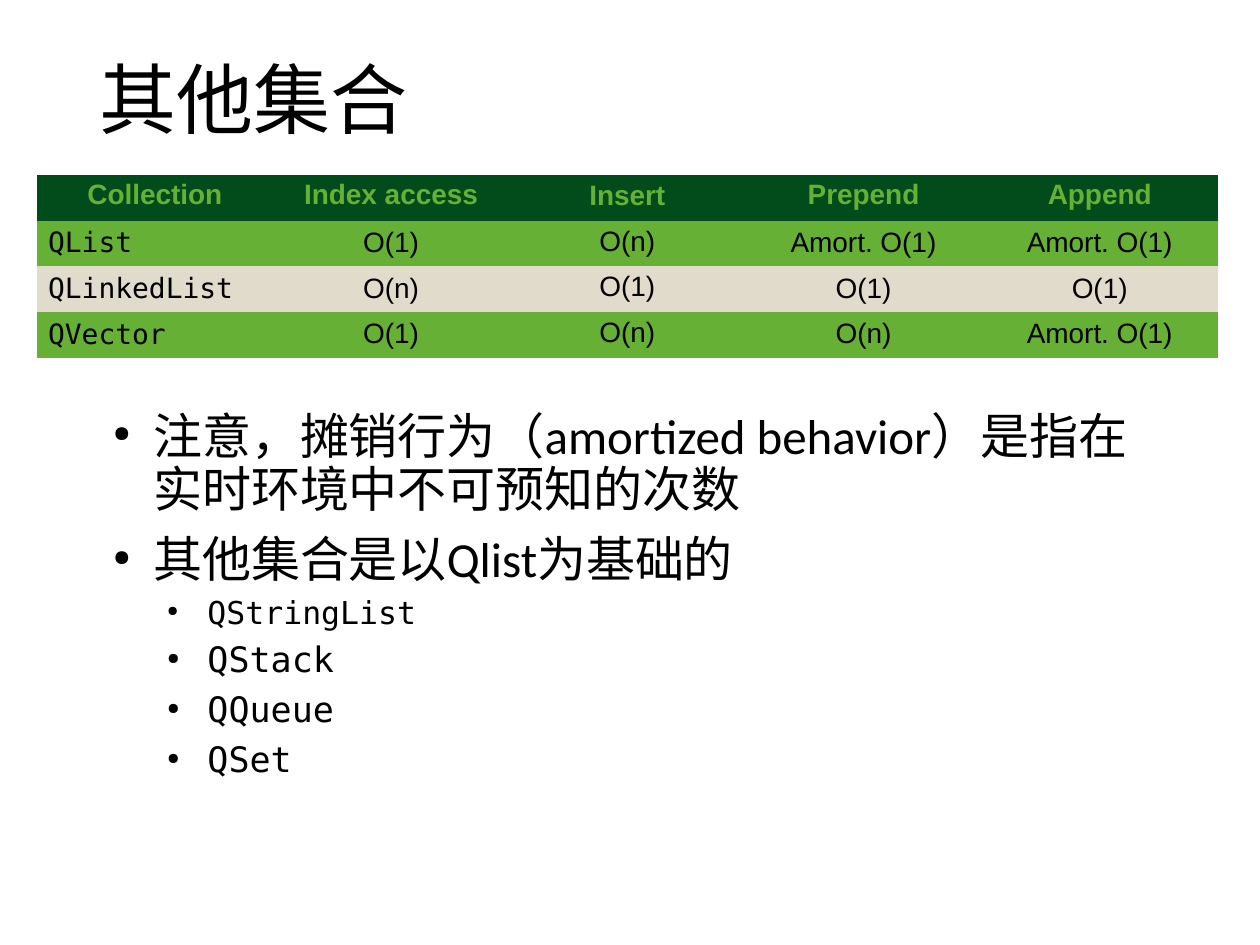
from lxml import etree
from pptx import Presentation
from pptx.dml.color import RGBColor
from pptx.enum import text
from pptx.oxml import ns
from pptx.util import Pt

COLORS = {"ink": "000000", "header": "024C1C", "green": "66B036",
          "beige": "E0DBCA", "border": "FFFFFF"}
MONO = "DejaVu Sans Mono"
CENTER, LEFT = text.PP_ALIGN.CENTER, text.PP_ALIGN.LEFT
TOP, MIDDLE = text.MSO_ANCHOR.TOP, text.MSO_ANCHOR.MIDDLE

COLLECTIONS = [
    ["Collection", "Index access", "Insert", "Prepend", "Append"],
    ["QList", "O(1)", "O(n)", "Amort. O(1)", "Amort. O(1)"],
    ["QLinkedList", "O(n)", "O(1)", "O(1)", "O(1)"],
    ["QVector", "O(1)", "O(n)", "O(n)", "Amort. O(1)"],
]
# level, wording, font, size, line spacing
NOTES = [
    (0, "注意，摊销行为（amortized behavior）是指在实时环境中不可预知的次数", "Calibri", 28, 0.9),
    (0, "其他集合是以Qlist为基础的", "Calibri", 28, 0.9),
    (1, "QStringList", MONO, 18, 0.9),
    (1, "QStack", MONO, 20, 0.98),
    (1, "QQueue", MONO, 20, 0.98),
    (1, "QSet", MONO, 20, 0.98),
]


def assign(target, **values):
    for name, value in values.items():
        setattr(target, name, value)


def add_child(parent, tag, **attributes):
    return etree.SubElement(parent, ns.qn(tag), attributes)


def write(para, wording, font, size, color="ink", bold=False):
    span = para.add_run()
    span.text = wording
    assign(span.font, name=font, size=Pt(size), bold=bold)
    span.font.color.rgb = RGBColor.from_string(COLORS[color])


def place_title(page, wording, left, top, width, height):
    title = page.shapes.title
    assign(title, left=Pt(left), top=Pt(top), width=Pt(width), height=Pt(height))
    assign(title.text_frame, vertical_anchor=MIDDLE, word_wrap=True,
           auto_size=text.MSO_AUTO_SIZE.NONE)
    para = title.text_frame.paragraphs[0]
    assign(para, alignment=LEFT, line_spacing=0.9)
    write(para, wording, "Calibri", 44)


def add_borders(cell):
    """Give the cell hairline edges, placed ahead of its fill."""
    properties = cell._tc.get_or_add_tcPr()
    for index, side in enumerate(("a:lnL", "a:lnR", "a:lnT", "a:lnB")):
        line = etree.Element(ns.qn(side), {"w": "360"})
        add_child(add_child(line, "a:solidFill"), "a:srgbClr", val=COLORS["border"])
        properties.insert(index, line)


def fill_cell(cell, wording, row, column):
    header, name = row == 0, row > 0 and column == 0
    fill = "header" if header else ("green" if row % 2 else "beige")
    cell.fill.solid()
    cell.fill.fore_color.rgb = RGBColor.from_string(COLORS[fill])
    add_borders(cell)
    narrow = header and column != 2
    side = Pt(3 if narrow else 6.5)
    assign(cell, margin_left=side, margin_right=side,
           margin_top=Pt(3.6 if narrow or name else 4.2),
           margin_bottom=Pt(3 if narrow else 3.6),
           vertical_anchor=TOP if header or column == 2 else MIDDLE)
    para = cell.text_frame.paragraphs[0]
    assign(para, alignment=LEFT if name else CENTER,
           line_spacing=0.98 if name else 0.93)
    write(para, wording, MONO if name else "Arial", 16,
          "green" if header else "ink", header)


def place_table(page, rows, left, top, width, height):
    table = page.shapes.add_table(len(rows), len(rows[0]), Pt(left), Pt(top),
                                  Pt(width), Pt(height)).table
    for column in table.columns:
        column.width = Pt(width / len(rows[0]))
    for r, row in enumerate(rows):
        table.rows[r].height = Pt(height / len(rows))
        for c, wording in enumerate(row):
            fill_cell(table.cell(r, c), wording, r, c)


def add_bullet(para, level):
    properties = para._p.get_or_add_pPr()
    properties.set("marL", str(Pt(31 * (level + 1))))
    properties.set("indent", str(-Pt(23)))
    add_child(properties, "a:buSzPct", val="45000")
    add_child(properties, "a:buChar", char="●")


def place_notes(page, notes, left, top, width, height):
    box = page.shapes.add_textbox(Pt(left), Pt(top), Pt(width), Pt(height))
    frame = box.text_frame
    frame.word_wrap = True
    for index, (level, wording, font, size, spacing) in enumerate(notes):
        para = frame.add_paragraph() if index else frame.paragraphs[0]
        add_bullet(para, level)
        before = (5 if level else 10) if index else 0
        assign(para, level=level, line_spacing=spacing, space_before=Pt(before))
        write(para, wording, font, size)


def main():
    deck = Presentation()
    assign(deck, slide_width=Pt(720), slide_height=Pt(540))
    page = deck.slides.add_slide(deck.slide_layouts.get_by_name("Title Only"))
    place_title(page, "其他集合", 49.5, 28.8, 621, 60.5)
    place_notes(page, NOTES, 49.5, 232, 621, 263.5)
    place_table(page, COLLECTIONS, 21, 100, 675, 104.4)
    deck.save("out.pptx")


if __name__ == "__main__":
    main()
